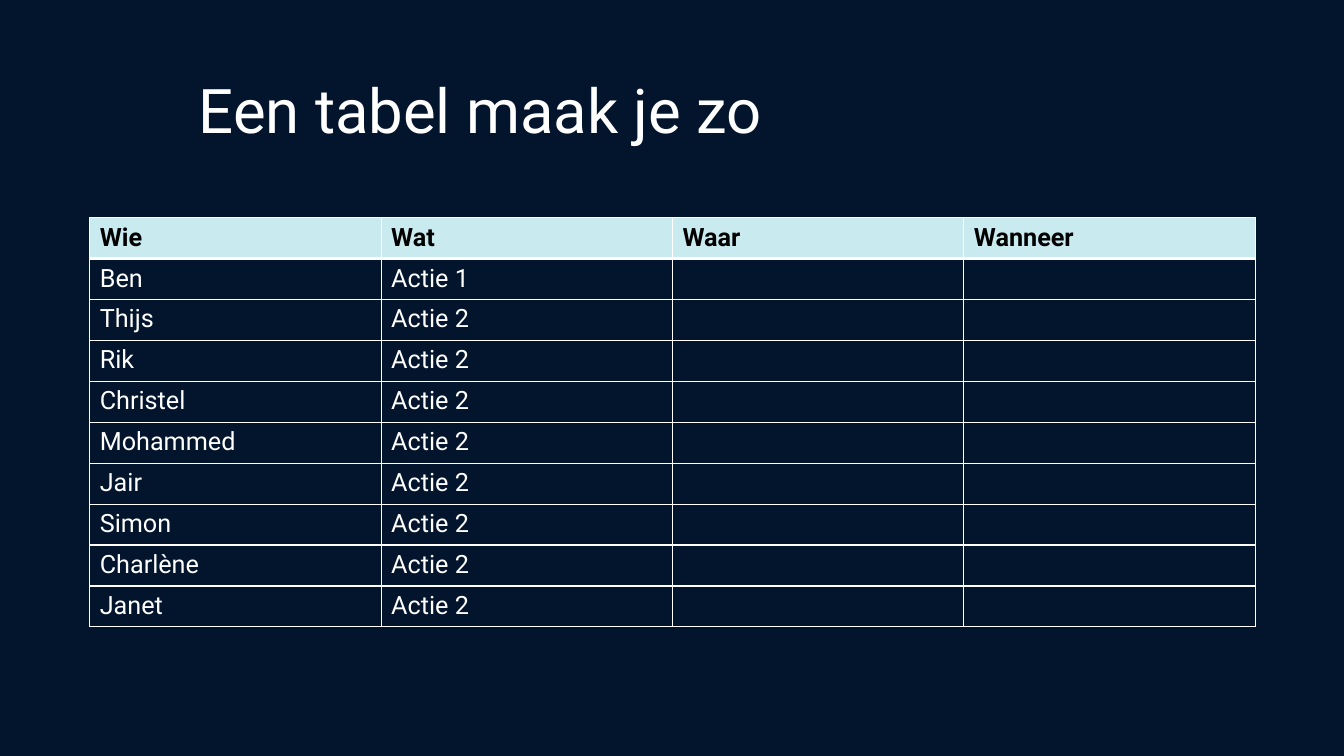
from dataclasses import dataclass

from lxml.etree import SubElement
from pptx import Presentation
from pptx.dml.color import RGBColor as Color
from pptx.enum.text import MSO_ANCHOR as Anchor, PP_ALIGN as Align
from pptx.oxml.ns import qn
from pptx.util import Inches, Pt


@dataclass(frozen=True)
class Theme:
    font: str = "Roboto"
    background: str = "03152D"
    light: str = "FFFFFF"
    header_fill: str = "C9EBF0"
    header_text: str = "000000"
    title_size: int = 44
    table_size: int = 18
    thin_line: int = 1
    thick_line: int = 3


class SlideBuilder:
    def __init__(self, presentation, theme):
        self.theme = theme
        self.slide = presentation.slides.add_slide(presentation.slide_layouts[5])
        fill = self.slide.background.fill
        fill.solid()
        fill.fore_color.rgb = Color.from_string(theme.background)

    def format_font(self, font, size, color, bold=False):
        font.name = self.theme.font
        font.size = Pt(size)
        font.bold = bold
        font.color.rgb = Color.from_string(color)

    def title(self, text, left, top, width, height):
        shape = self.slide.shapes.title
        shape.left, shape.top = Inches(left), Inches(top)
        shape.width, shape.height = Inches(width), Inches(height)
        frame = shape.text_frame
        frame.text = text
        frame.word_wrap = True
        frame.vertical_anchor = Anchor.MIDDLE
        frame.margin_left = frame.margin_right = 0
        frame.margin_top = frame.margin_bottom = 0
        paragraph = frame.paragraphs[0]
        paragraph.alignment = Align.LEFT
        paragraph.line_spacing = 0.9
        self.format_font(paragraph.runs[0].font, self.theme.title_size, self.theme.light)

    def cell_borders(self, cell, top, bottom):
        properties = cell._tc.get_or_add_tcPr()
        thin = self.theme.thin_line
        for side, width in (("L", thin), ("R", thin), ("T", top), ("B", bottom)):
            line = SubElement(properties, qn(f"a:ln{side}"), w=str(Pt(width)))
            fill = SubElement(line, qn("a:solidFill"))
            SubElement(fill, qn("a:srgbClr"), val=self.theme.light)

    def table(self, rows, left, top, column_width, row_height):
        theme = self.theme
        row_count, column_count = len(rows), len(rows[0])
        table = self.slide.shapes.add_table(
            row_count, column_count, Inches(left), Inches(top),
            Inches(column_width * column_count), Inches(row_height * row_count),
        ).table
        table.horz_banding = False
        for row_index, row in enumerate(rows):
            is_header = row_index == 0
            # The thick rule lies between the header and the first name
            above = theme.thick_line if row_index == 1 else theme.thin_line
            below = theme.thick_line if is_header else theme.thin_line
            for column_index, text in enumerate(row):
                cell = table.cell(row_index, column_index)
                cell.text_frame.text = text
                self.format_font(
                    cell.text_frame.paragraphs[0].font, theme.table_size,
                    theme.header_text if is_header else theme.light, is_header)
                for run in cell.text_frame.paragraphs[0].runs:
                    self.format_font(
                        run.font, theme.table_size,
                        theme.header_text if is_header else theme.light, is_header)
                # Borders come before the fill in the cell properties
                self.cell_borders(cell, above, below)
                if is_header:
                    cell.fill.solid()
                    cell.fill.fore_color.rgb = Color.from_string(theme.header_fill)
                else:
                    cell.fill.background()


def main():
    presentation = Presentation()
    presentation.slide_width = Inches(13.33)
    presentation.slide_height = Inches(7.5)
    builder = SlideBuilder(presentation, Theme())

    # Title
    builder.title("Een tabel maak je zo", 1.97, 0.4, 10.44, 1.45)

    # Action table
    header = ["Wie", "Wat", "Waar", "Wanneer"]
    names = ["Ben", "Thijs", "Rik", "Christel", "Mohammed",
             "Jair", "Simon", "Charlène", "Janet"]
    actions = ["Actie 1"] + ["Actie 2"] * (len(names) - 1)
    rows = [header] + [[name, action, "", ""] for name, action in zip(names, actions)]
    builder.table(rows, left=0.89, top=2.16, column_width=2.89, row_height=4.06 / len(rows))

    presentation.save("out.pptx")


if __name__ == "__main__":
    main()
